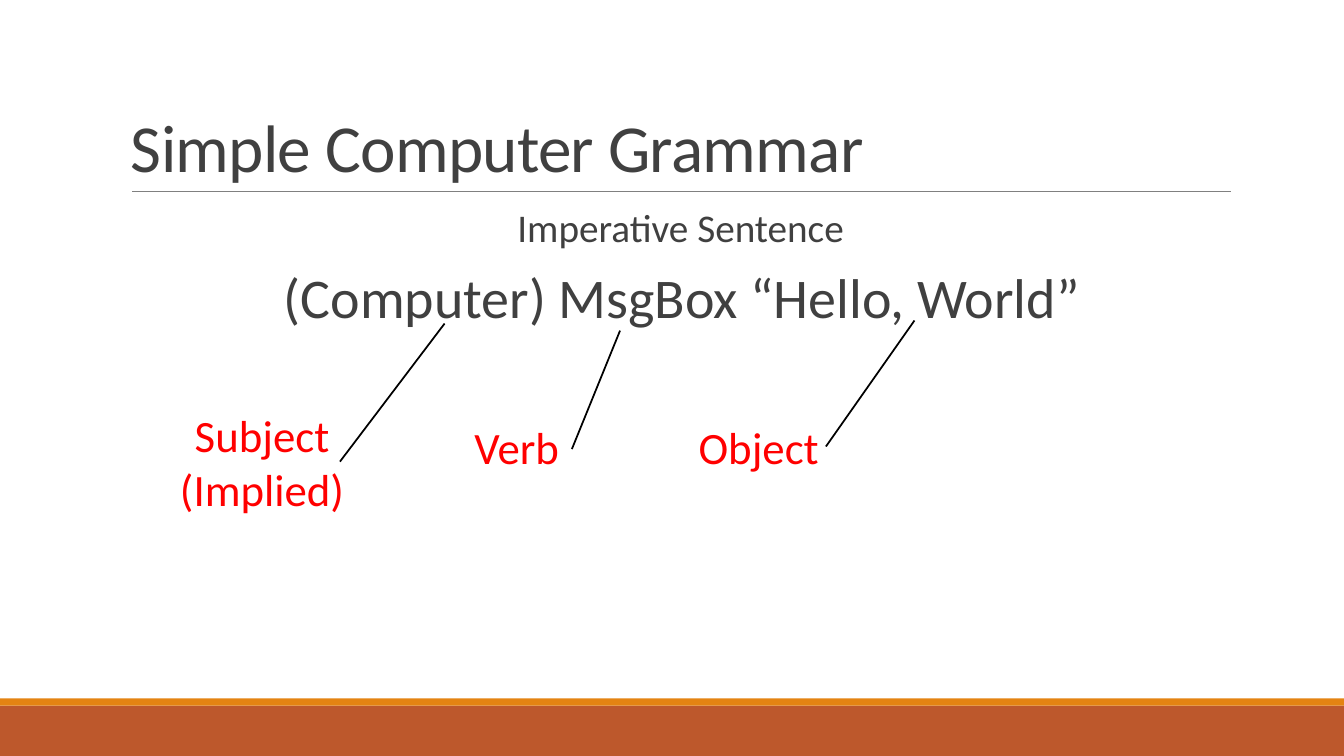
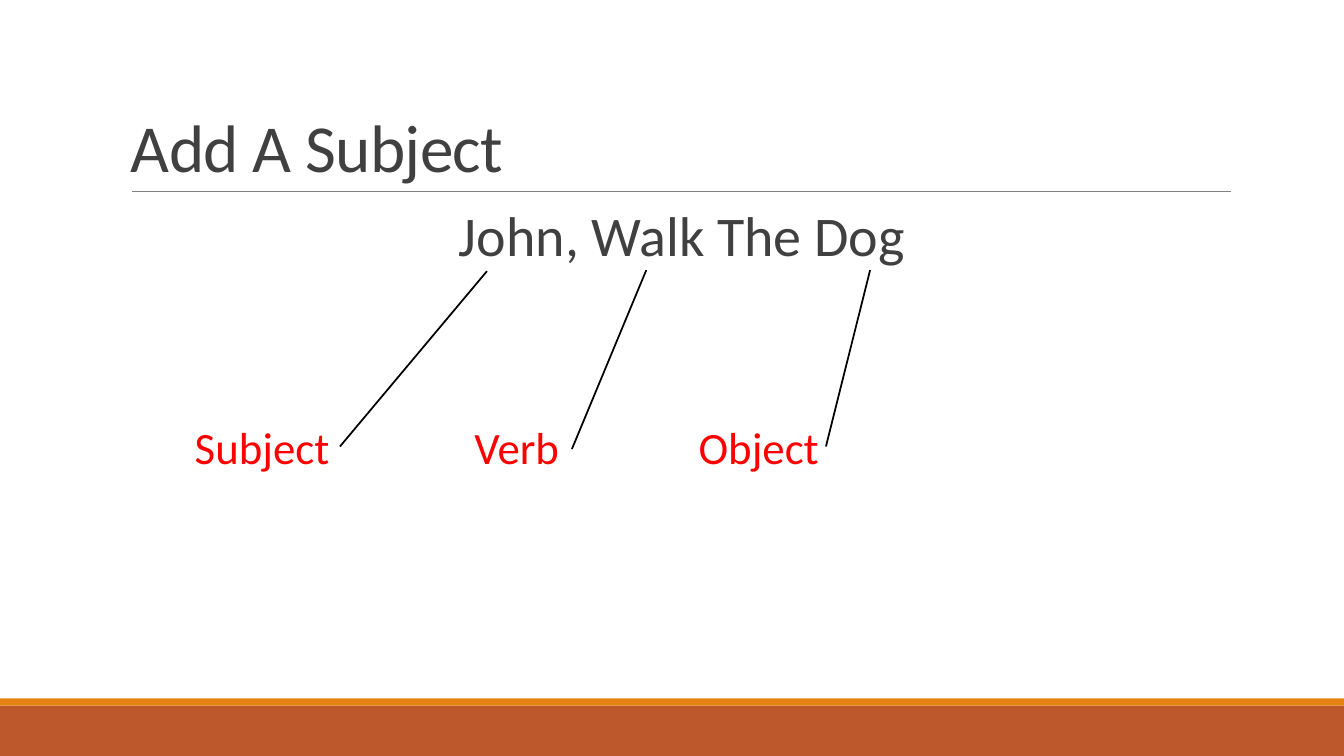
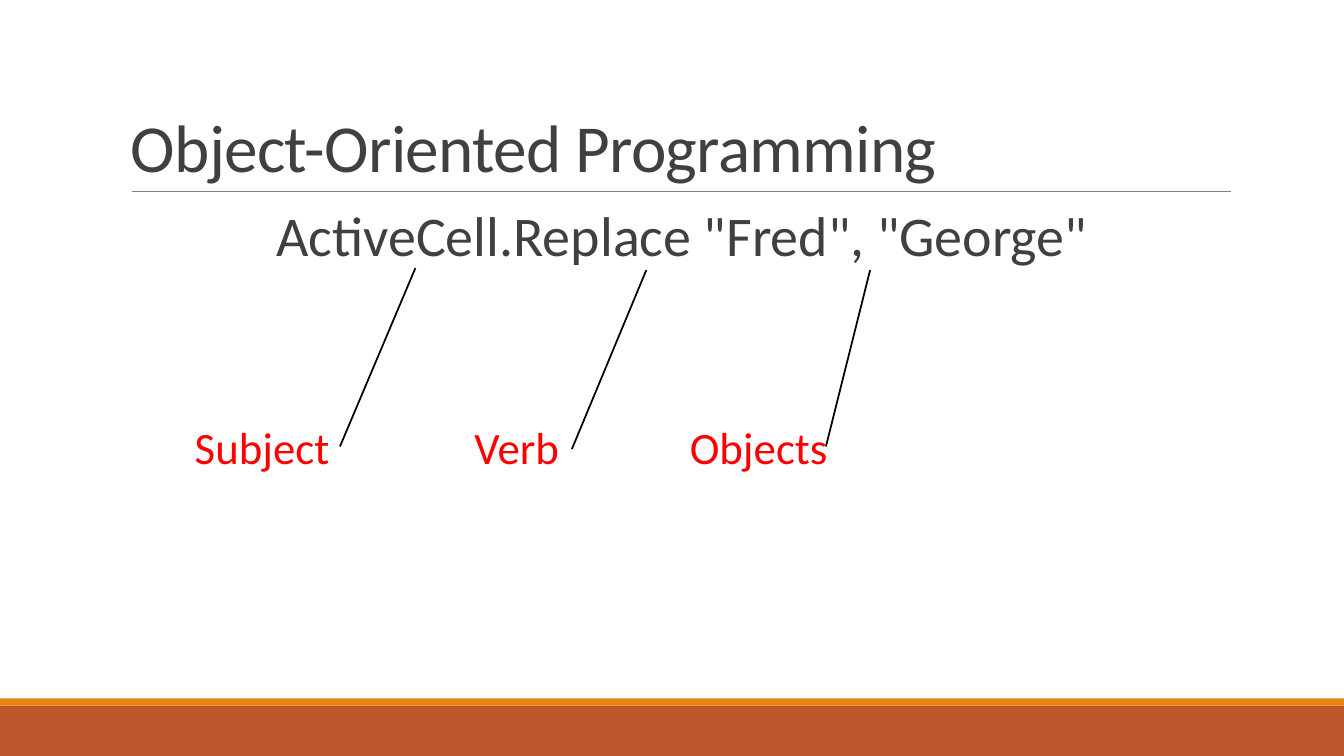
from lxml.etree import SubElement
from pptx import Presentation
from pptx.dml.color import RGBColor
from pptx.enum.shapes import MSO_CONNECTOR, MSO_SHAPE
from pptx.enum.text import MSO_ANCHOR, PP_ALIGN
from pptx.oxml.ns import qn
from pptx.util import Inches, Pt

HUES = {"rust": "BD582C", "gold": "E48312", "rule": "808080",
        "text": "404040", "label": "FF0000", "line": "000000"}
FONT = "Calibri"
WIDE, HIGH = 13.33, 7.5
TITLE = (1.2, 0.31, 11, 1.59)
BODY = (1.2, 2.02, 11, 1.48)
SUBJECT = (1.61, 4, 1.98, 0.86)
IMPLIED = (1.61, 4, 1.98, 1.16)
VERB = (4.27, 4, 1.71, 0.86)
OBJECT = (6.67, 4, 1.71, 0.86)
MIDDLE = (0.5, 0.89)
VERB_ROOT = (0.53, 0.82)


def hue(name):
    return RGBColor.from_string(HUES[name])


def inches(box):
    return [Inches(n) for n in box]


def write(para, text, size, color="text", align=PP_ALIGN.LEFT,
          lead=None, before=None, after=None, track=None):
    para.text = text
    para.alignment = align
    para.line_spacing = lead
    para.space_before = before
    para.space_after = after
    for run in para.runs:
        font = run.font
        font.name, font.size = FONT, Pt(size)
        font.color.rgb = hue(color)
        if track is not None:
            run._r.get_or_add_rPr().set("spc", str(track))


def bullet(para):
    props = para._p.get_or_add_pPr()
    props.set("marL", str(Inches(0.1)))
    props.set("indent", str(Inches(-0.1)))
    tint = SubElement(props, qn("a:buClr"))
    SubElement(tint, qn("a:srgbClr")).set("val", HUES["gold"])
    SubElement(props, qn("a:buFont")).set("typeface", FONT)
    SubElement(props, qn("a:buChar")).set("char", " ")


def band(slide, top, height, color):
    shape = slide.shapes.add_shape(
        MSO_SHAPE.RECTANGLE, *inches((0, top, WIDE, height)))
    shape.shadow.inherit = False
    shape.fill.solid()
    shape.fill.fore_color.rgb = hue(color)
    shape.line.fill.background()


def frame(slide):
    band(slide, 7, 0.5, "rust")
    band(slide, 6.93, 0.07, "gold")
    rule = slide.shapes.add_connector(
        MSO_CONNECTOR.STRAIGHT, *inches((1.31, 1.9, 12.21, 1.9)))
    rule.line.color.rgb = hue("rule")
    rule.line.width = Pt(0.5)
    SubElement(rule._element.spPr, qn("a:effectLst"))


def title(slide, box, text):
    area = slide.shapes.add_textbox(*inches(box)).text_frame
    area.word_wrap = True
    area.vertical_anchor = MSO_ANCHOR.BOTTOM
    write(area.paragraphs[0], text, 48, lead=0.85, track=-50)


def body(slide, box, lines):
    area = slide.shapes.add_textbox(*inches(box)).text_frame
    area.word_wrap = True
    area.margin_left = area.margin_right = 0
    for i, (text, size) in enumerate(lines):
        para = area.add_paragraph() if i else area.paragraphs[0]
        write(para, text, size, align=PP_ALIGN.CENTER,
              lead=0.9, before=Pt(12), after=Pt(2))
        bullet(para)


def callout(slide, box, text, root, tip):
    shape = slide.shapes.add_shape(
        MSO_SHAPE.LINE_CALLOUT_1_NO_BORDER, *inches(box))
    shape.shadow.inherit = False
    shape.fill.background()
    shape.line.color.rgb = hue("line")
    shape.line.width = Pt(1.25)
    left, top, width, height = box
    x, y = tip
    ends = (*root, (y - top) / height, (x - left) / width)
    for i, end in enumerate(ends):
        shape.adjustments[i] = end
    area = shape.text_frame
    area.word_wrap = True
    area.vertical_anchor = MSO_ANCHOR.MIDDLE
    write(area.paragraphs[0], text, 32, color="label",
          align=PP_ALIGN.CENTER)


def grammar(deck, head, lines, labels):
    slide = deck.slides.add_slide(deck.slide_layouts[6])
    frame(slide)
    title(slide, TITLE, head)
    body(slide, BODY, lines)
    for label in labels:
        callout(slide, *label)


def main():
    deck = Presentation()
    deck.slide_width, deck.slide_height = inches((WIDE, HIGH))
    verb = (VERB, "Verb", VERB_ROOT, (6.41, 2.68))
    grammar(deck, "Simple Computer Grammar",
            [("Imperative Sentence", 28),
             ("(Computer) MsgBox “Hello, World”", 40)],
            [(VERB, "Verb", VERB_ROOT, (6.15, 3.28)),
             (OBJECT, "Object", MIDDLE, (9.07, 3.18)),
             (IMPLIED, "Subject\n(Implied)", MIDDLE, (4.41, 3.21))])
    grammar(deck, "Add A Subject",
            [("John, Walk The Dog", 40)],
            [verb,
             (OBJECT, "Object", MIDDLE, (8.63, 2.68)),
             (SUBJECT, "Subject", MIDDLE, (4.83, 2.69))])
    grammar(deck, "Object-Oriented Programming",
            [('ActiveCell.Replace "Fred", "George"', 40)],
            [verb,
             (OBJECT, "Objects", MIDDLE, (8.63, 2.68)),
             (SUBJECT, "Subject", MIDDLE, (4.12, 2.66))])
    deck.save("out.pptx")


if __name__ == "__main__":
    main()
